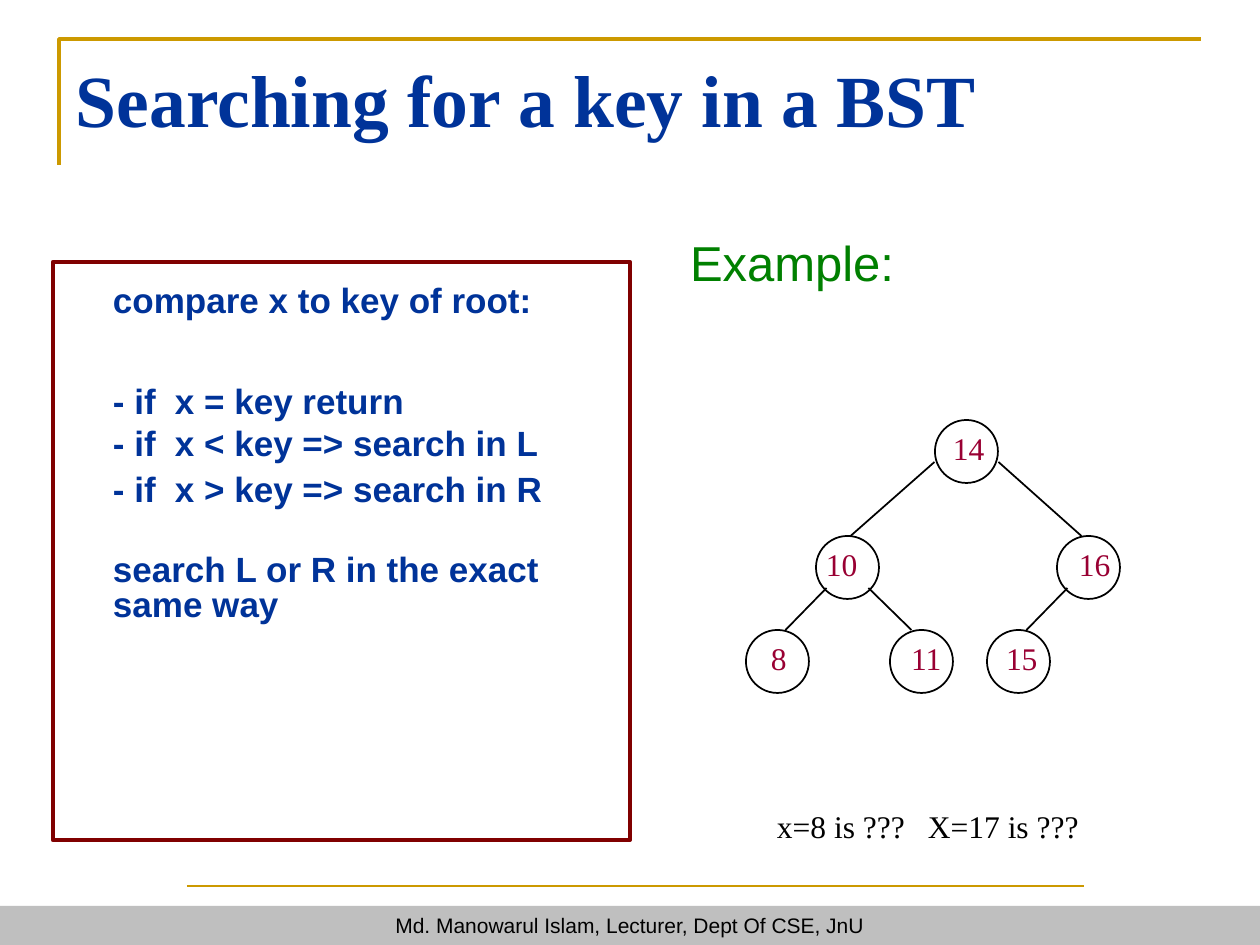
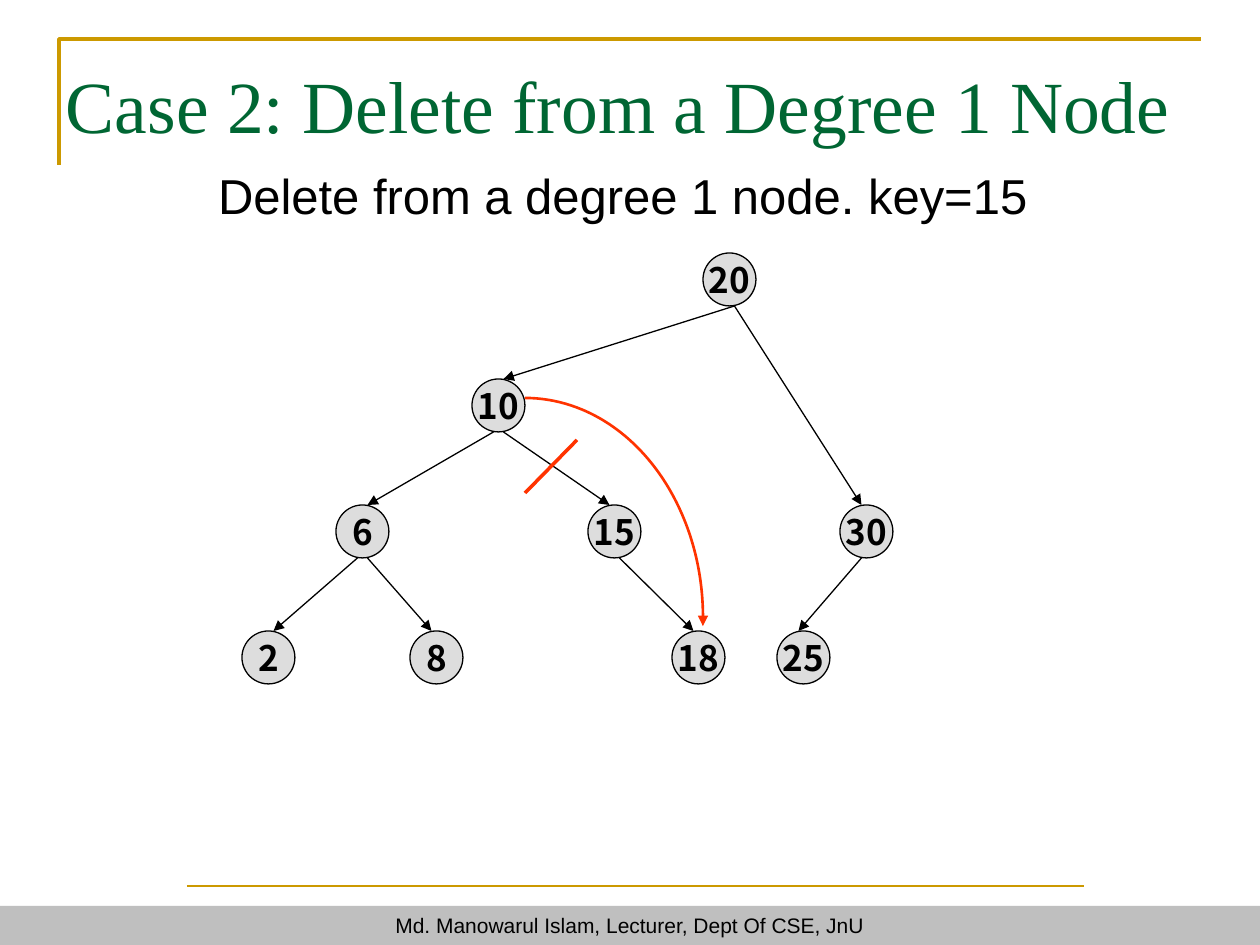
from dataclasses import dataclass

import pptx
import pptx.dml.color
import pptx.enum.shapes
import pptx.enum.text
import pptx.oxml
import pptx.oxml.ns
import pptx.util

SHAPE = pptx.enum.shapes.MSO_SHAPE
ALIGN = pptx.enum.text.PP_ALIGN
ANCHOR = pptx.enum.text.MSO_ANCHOR
EMU_PER_PX = 914400 / 126
WIDTH, HEIGHT = 1260, 945


@dataclass(frozen=True)
class Theme:
    gold: str = "CC9900"
    band: str = "BFBFBF"
    navy: str = "003399"
    forest: str = "006633"
    green: str = "008000"
    maroon: str = "800000"
    crimson: str = "990033"
    red: str = "FF3300"
    black: str = "000000"
    white: str = "FFFFFF"
    node: str = "DDDDDD"
    sans: str = "Arial"
    serif: str = "Times New Roman"
    node_font: str = "Noto Sans CJK KR"
    title_size: int = 42
    heading_size: int = 28
    body_size: int = 20
    label_size: int = 18
    footer_size: int = 12


def px(length):
    return pptx.util.Emu(round(length * EMU_PER_PX))


def rgb(color):
    return pptx.dml.color.RGBColor.from_string(color)


def add_xml(parent, tag, **attributes):
    child = pptx.oxml.parse_xml(f"<{tag} {pptx.oxml.ns.nsdecls('a')}/>")
    for key, value in attributes.items():
        child.set(key, str(value))
    parent.append(child)
    return child


def add_arrowhead(shape):
    add_xml(shape._element.spPr.get_or_add_ln(), "a:tailEnd", type="triangle")


class Deck:
    def __init__(self, theme):
        self.theme = theme
        self.prs = pptx.Presentation()
        self.prs.slide_width, self.prs.slide_height = px(WIDTH), px(HEIGHT)
        self.slide = None

    def new_slide(self, title, left, top, color, bold=False):
        """Start a slide with the shared rules, footer band and a title."""
        theme = self.theme
        self.slide = self.prs.slides.add_slide(self.prs.slide_layouts[6])
        self.line((187, 886), (1084, 886), theme.gold, 1)
        footer = self.shape(SHAPE.RECTANGLE, (0, 906, WIDTH, 39), fill=theme.band)
        self.set_text(footer, ["Md. Manowarul Islam, Lecturer, Dept Of CSE, JnU"],
                      theme.footer_size, theme.black, align=ALIGN.CENTER)
        self.polyline([(59, 165), (59, 39), (1201, 39)], theme.gold, 2)
        self.text(title, (left, top, 1140, 84), theme.title_size, color,
                  theme.serif, bold)

    def style(self, shape, fill, line, weight):
        shape.shadow.inherit = False
        if fill:
            shape.fill.solid()
            shape.fill.fore_color.rgb = rgb(fill)
        else:
            shape.fill.background()
        if line:
            shape.line.color.rgb = rgb(line)
            shape.line.width = pptx.util.Pt(weight)
        else:
            shape.line.fill.background()
        return shape

    def shape(self, kind, box, fill=None, line=None, weight=1):
        shape = self.slide.shapes.add_shape(kind, *map(px, box))
        return self.style(shape, fill, line, weight)

    def polyline(self, points, color, weight):
        builder = self.slide.shapes.build_freeform(*points[0], scale=EMU_PER_PX)
        builder.add_line_segments(points[1:], close=False)
        return self.style(builder.convert_to_shape(), None, color, weight)

    def line(self, start, end, color, weight, arrow=False):
        connector = self.slide.shapes.add_connector(
            pptx.enum.shapes.MSO_CONNECTOR.STRAIGHT, *map(px, start + end))
        connector.line.color.rgb = rgb(color)
        connector.line.width = pptx.util.Pt(weight)
        if arrow:
            add_arrowhead(connector)
        add_xml(connector._element.spPr, "a:effectLst")

    def arc(self, center, radii, end_degrees, color, weight):
        """Draw an arrow clockwise from the top of an ellipse."""
        (x, y), (rx, ry) = center, radii
        arc = self.shape(SHAPE.ARC, (x - rx, y - ry, 2 * rx, 2 * ry),
                         line=color, weight=weight)
        arc.adjustments[1] = end_degrees * 0.6
        add_arrowhead(arc)

    def set_text(self, shape, lines, size, color, font=None, bold=False,
                 align=ALIGN.LEFT, anchor=ANCHOR.MIDDLE, wrap=True, tab=None):
        frame = shape.text_frame
        frame.margin_left = frame.margin_right = 0
        frame.margin_top = frame.margin_bottom = 0
        frame.word_wrap, frame.vertical_anchor = wrap, anchor
        for index, line in enumerate(lines):
            paragraph = frame.paragraphs[0] if index == 0 else frame.add_paragraph()
            paragraph.text = line
            paragraph.alignment = align
            if tab:
                tabs = add_xml(paragraph._p.get_or_add_pPr(), "a:tabLst")
                add_xml(tabs, "a:tab", pos=px(tab), algn="l")
            paragraph.font.size = pptx.util.Pt(size)
            paragraph.font.name = font or self.theme.sans
            paragraph.font.bold = bold
            paragraph.font.color.rgb = rgb(color)
        return frame

    def text(self, words, box, size, color, font=None, bold=False, tab=None):
        label = self.slide.shapes.add_textbox(*map(px, box))
        self.set_text(label, [words], size, color, font, bold,
                      anchor=ANCHOR.TOP, wrap=False, tab=tab)

    def edges(self, nodes, diameter, edges, weight, arrow=False):
        """Join nodes; each edge gives its shifts from the node centres."""
        for parent, child, start_shift, drop, end_shift in edges:
            (parent_x, parent_y), (child_x, child_y) = nodes[parent], nodes[child]
            radius = diameter / 2
            self.line((parent_x + radius + start_shift, parent_y + drop),
                      (child_x + radius + end_shift, child_y),
                      self.theme.black, weight, arrow)


def search_slide(deck):
    theme = deck.theme
    deck.new_slide("Searching for a key in a BST", 76, 54, theme.navy, bold=True)

    steps = {
        "compare x to key of root:": 0,
        "- if\tx = key return": 38,
        "- if\tx < key => search in L": 4,
        "- if\tx > key => search in R": 6,
        "search L or R in the exact same way": 26,
    }
    panel = deck.shape(SHAPE.RECTANGLE, (53, 262, 577, 578),
                       line=theme.maroon, weight=2.5)
    frame = deck.set_text(panel, steps, theme.body_size, theme.navy, bold=True,
                          anchor=ANCHOR.TOP, tab=62)
    frame.margin_left, frame.margin_top, frame.margin_right = px(60), px(23), px(13)
    for paragraph, gap in zip(frame.paragraphs, steps.values()):
        paragraph.line_spacing = pptx.util.Pt(theme.body_size)
        paragraph.space_before = pptx.util.Pt(gap)

    deck.text("Example:", (690, 232, 220, 56), theme.heading_size, theme.green)

    diameter = 63
    root, middle, leaves = 420, 536, 630
    nodes = {"14": (935, root), "10": (816, middle), "16": (1057, middle),
             "8": (746, leaves), "11": (890, leaves), "15": (987, leaves)}
    label_shifts = {"14": 18, "10": 10, "16": 22, "8": 25, "11": 21, "15": 19}
    for x, y in nodes.values():
        deck.shape(SHAPE.OVAL, (x, y, diameter, diameter), theme.white, theme.black)
    deck.edges(nodes, diameter, [
        ("14", "10", -32, 42, 3), ("14", "16", 32, 42, -7),
        ("10", "8", -21, 52, 8), ("10", "11", 21, 52, -10),
        ("16", "15", -21, 52, 8)], weight=1)
    for key, (x, y) in nodes.items():
        deck.text(key, (x + label_shifts[key], y + 9, 32, 36),
                  theme.label_size, theme.crimson, theme.serif)

    deck.text("x=8 is ???\tX=17 is ???", (777, 807, 310, 36),
              theme.label_size, theme.black, theme.serif, tab=151)


def delete_slide(deck):
    theme = deck.theme
    deck.new_slide("Case 2: Delete from a Degree 1 Node", 66, 60, theme.forest)

    diameter = 53
    levels = [{"20": 703}, {"10": 472}, {"6": 336, "15": 588, "30": 840},
              {"2": 242, "8": 410, "18": 672, "25": 777}]
    nodes = {key: (x, 253 + 126 * depth)
             for depth, level in enumerate(levels) for key, x in level.items()}
    for key, (x, y) in nodes.items():
        node = deck.shape(SHAPE.OVAL, (x, y, diameter, diameter),
                          theme.node, theme.black, 0.75)
        deck.set_text(node, [key], theme.body_size, theme.black, theme.node_font,
                      bold=True, align=ALIGN.CENTER, wrap=False)
    links = [("20", "10", 5, 5), ("20", "30", 5, -5), ("10", "6", -5, 5),
             ("10", "15", 5, -5), ("6", "2", -5, 5), ("6", "8", 5, -5),
             ("15", "18", 5, -5), ("30", "25", -5, -5)]
    deck.edges(nodes, diameter,
               [(parent, child, start, diameter, end)
                for parent, child, start, end in links], weight=0.75, arrow=True)

    deck.text("Delete from a degree 1 node. key=15", (218, 166, 810, 56),
              theme.heading_size, theme.black)
    deck.line((525, 493), (577, 440), theme.red, 2)
    deck.arc((525, 618), (178, 220), 2.6, theme.red, 1.5)


def main():
    deck = Deck(Theme())
    search_slide(deck)
    delete_slide(deck)
    deck.prs.save("out.pptx")


if __name__ == "__main__":
    main()
